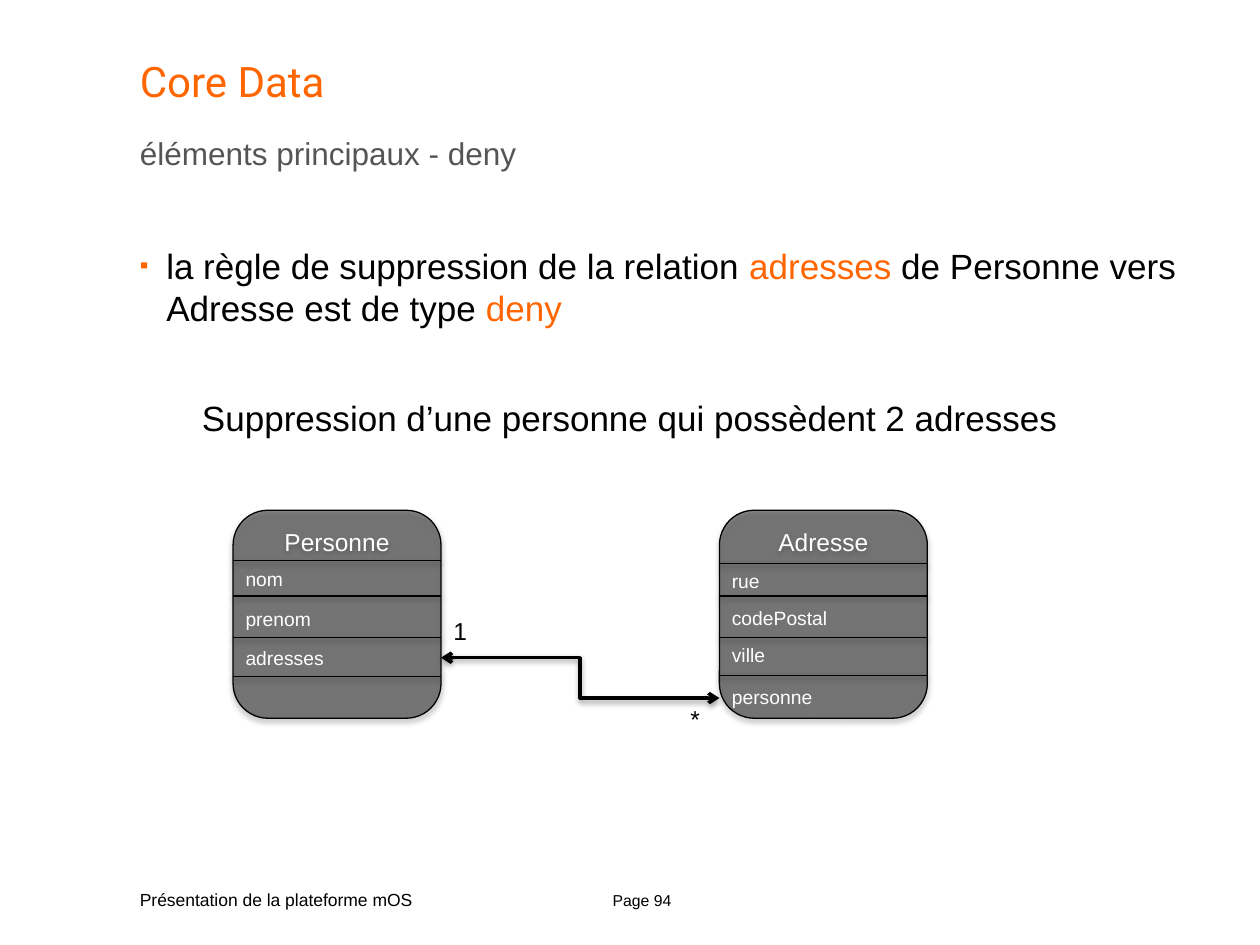
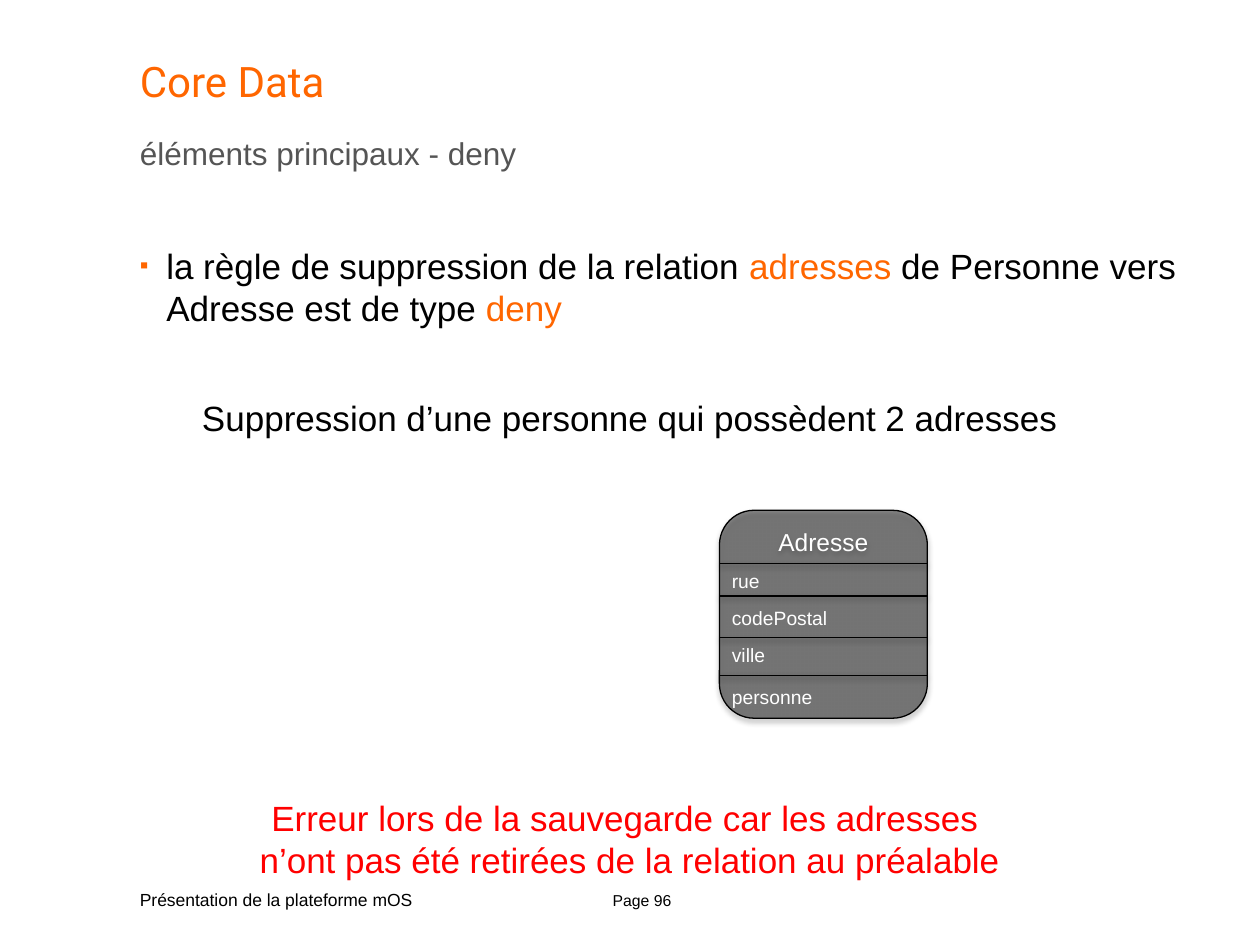
"""Build two slides on the deny deletion rule in Core Data."""
from dataclasses import dataclass
from typing import Any, NamedTuple

from lxml import etree
from pptx import Presentation
from pptx import util as u
from pptx.dml import color
from pptx.enum import shapes, text
from pptx.oxml import ns

PX = 9144
TWO_CONTENT = 3


class Style(NamedTuple):
    """Size, colour and typeface of a run."""
    size: int
    rgb: str
    name: str = "Arial"


@dataclass(frozen=True)
class Theme:
    """Colours and text styles shared by the slides."""
    ink: str = "000000"
    accent: str = "FF6600"
    fill_alpha: int = 46
    title: Style = Style(24, "FF6600", "Roboto")
    subtitle: Style = Style(18, "555555")
    body: Style = Style(20, "000000")
    keyword: Style = Style(20, "FF6600")
    error: Style = Style(20, "FF0000")
    entity: Style = Style(14, "FFFFFF")
    field: Style = Style(11, "FFFFFF")
    label: Style = Style(14, "000000")
    footer: Style = Style(10, "000000")
    page: Style = Style(9, "000000")


class Box(NamedTuple):
    """Left, top, width and height in px."""
    left: int
    top: int
    width: int
    height: int


class Field(NamedTuple):
    """A named row of an entity with the top of its text."""
    name: str
    top: int


@dataclass(frozen=True)
class Entity:
    """A data model entity with its fields and dividing lines."""
    name: str
    left: int
    fields: tuple[Field, ...]
    rules: tuple[int, ...]


class Page(NamedTuple):
    """What differs from one slide to the next."""
    number: int
    entities: tuple[Entity, ...]
    related: bool
    error: tuple[str, ...]


Run = tuple[str, Style]
T = Theme()
SIDE = 165
ENTITY_TOP = 405
FLUSH = dict(margin_left=0, margin_right=0, margin_top=0, margin_bottom=0)
PERSONNE = Entity("Personne", 185,
                  (Field("nom", 445), Field("prenom", 477), Field("adresses", 508)),
                  (445, 473, 506, 537))
ADRESSE = Entity("Adresse", 571,
                 (Field("rue", 447), Field("codePostal", 476),
                  Field("ville", 506), Field("personne", 539)),
                 (447, 473, 506, 536))
RULE: list[Run] = [("la règle de suppression de la relation ", T.body),
                   ("adresses ", T.keyword),
                   ("de Personne vers Adresse est de type ", T.body),
                   ("deny", T.keyword)]
PAGES = (
    Page(94, (PERSONNE, ADRESSE), True, ()),
    Page(96, (ADRESSE,), False,
         ("Erreur lors de la sauvegarde car les adresses ",
          "n’ont pas été retirées de la relation au préalable")),
)


def apply(obj: Any, **values: Any) -> None:
    """Set each given attribute on an object."""
    for key, value in values.items():
        setattr(obj, key, value)


def emu(box: Box) -> list[int]:
    """Turn a box into EMU."""
    return [n * PX for n in box]


def rgb(value: str) -> color.RGBColor:
    """Read a hexadecimal colour."""
    return color.RGBColor.from_string(value)


def node(parent: Any, tag: str, **attrs: Any) -> Any:
    """Append a drawing element to a parent."""
    return etree.SubElement(parent, ns.qn(f"a:{tag}"),
                            {k: str(v) for k, v in attrs.items()})


def write(p: Any, runs: list[Run], align: Any = text.PP_ALIGN.LEFT) -> None:
    """Fill a paragraph with styled runs."""
    apply(p, alignment=align, space_before=u.Pt(0))
    for words, style in runs:
        r = p.add_run()
        r.text = words
        apply(r.font, size=u.Pt(style.size), name=style.name)
        r.font.color.rgb = rgb(style.rgb)


def add_text(parent: Any, box: Box, lines: list[str], style: Style,
             align: Any = text.PP_ALIGN.LEFT, **frame: Any) -> None:
    """Add a text box with one paragraph a line."""
    tf = parent.add_textbox(*emu(box)).text_frame
    apply(tf, **{"word_wrap": True, **frame})
    for i, line in enumerate(lines):
        write(tf.add_paragraph() if i else tf.paragraphs[0], [(line, style)], align)


def fill_placeholder(sp: Any, box: Box, runs: list[Run]) -> Any:
    """Move a placeholder, write its text and return the paragraph."""
    apply(sp, **dict(zip(("left", "top", "width", "height"), emu(box))))
    tf = sp.text_frame
    apply(tf, word_wrap=True, auto_size=text.MSO_AUTO_SIZE.NONE,
          vertical_anchor=text.MSO_ANCHOR.TOP, **FLUSH)
    write(tf.paragraphs[0], runs)
    return tf.paragraphs[0]


def set_bullet(p: Any, char: str = "") -> None:
    """Give a paragraph a hanging indent and a bullet or none."""
    pr = p._p.get_or_add_pPr()
    pr.set("marL", str(21 * PX))
    pr.set("indent", str(-21 * PX))
    if not char:
        node(pr, "buNone")
        return
    node(node(pr, "buClr"), "srgbClr", val=T.accent)
    node(pr, "buSzPct", val=70000)
    node(pr, "buFont", typeface="Arial")
    node(pr, "buChar", char=char)


def add_shadow(sp: Any, dist: int, alpha: int) -> None:
    """Cast a soft shadow below a shape or line."""
    effects = node(sp._element.spPr, "effectLst")
    outer = node(effects, "outerShdw", blurRad=40000, dist=dist,
                 dir=5400000, rotWithShape=0)
    node(node(outer, "srgbClr", val=T.ink), "alpha", val=alpha * 1000)


def set_line(sp: Any, width: float) -> None:
    """Draw an outline in the ink colour."""
    sp.line.color.rgb = rgb(T.ink)
    sp.line.width = u.Pt(width)


def add_line(parent: Any, kind: Any, ends: tuple[int, ...], width: float) -> Any:
    """Add a shadowed connector between two points."""
    sp = parent.add_connector(kind, *(n * PX for n in ends))
    set_line(sp, width)
    add_shadow(sp, 20000, 38)
    return sp


def add_entity(s: Any, entity: Entity) -> None:
    """Draw an entity as one group."""
    group = s.shapes.add_group_shape().shapes
    sp = group.add_shape(shapes.MSO_SHAPE.ROUNDED_RECTANGLE,
                         *emu(Box(entity.left, ENTITY_TOP, SIDE, SIDE)))
    sp.fill.solid()
    sp.fill.fore_color.rgb = rgb(T.ink)
    node(sp._element.spPr.find(".//" + ns.qn("a:srgbClr")), "alpha",
         val=T.fill_alpha * 1000)
    set_line(sp, 0.75)
    add_shadow(sp, 23000, 35)
    sp.text_frame.vertical_anchor = text.MSO_ANCHOR.TOP
    write(sp.text_frame.paragraphs[0], [(entity.name, T.entity)], text.PP_ALIGN.CENTER)
    for y in entity.rules:
        add_line(group, shapes.MSO_CONNECTOR.STRAIGHT,
                 (entity.left, y, entity.left + SIDE, y), 0.75)
    for field in entity.fields:
        add_text(group, Box(entity.left, field.top, SIDE, 29), [field.name], T.field)


def add_relation(s: Any) -> None:
    """Link the two entities with a one-to-many arrow."""
    group = s.shapes.add_group_shape().shapes
    sp = add_line(group, shapes.MSO_CONNECTOR.ELBOW,
                  (PERSONNE.left + SIDE, 522, ADRESSE.left, 554), 2)
    ln = sp.line._get_or_add_ln()
    for end in ("headEnd", "tailEnd"):
        node(ln, end, type="arrow")
    for count, box in (("1", Box(350, 484, 31, 34)), ("*", Box(538, 554, 28, 34))):
        add_text(group, box, [count], T.label, word_wrap=False)


def add_page(prs: Any, page: Page) -> None:
    """Add one slide."""
    s = prs.slides.add_slide(prs.slide_layouts[TWO_CONTENT])
    title, subtitle, body = s.placeholders
    fill_placeholder(title, Box(111, 44, 854, 54), [("Core Data", T.title)])
    set_bullet(fill_placeholder(subtitle, Box(111, 106, 854, 33),
                                [("éléments principaux - deny", T.subtitle)]))
    set_bullet(fill_placeholder(body, Box(111, 194, 878, 87), RULE), "▪")
    for entity in page.entities:
        add_entity(s, entity)
    if page.related:
        add_relation(s)
    center = text.PP_ALIGN.CENTER
    add_text(s.shapes, Box(0, 310, 1000, 44),
             ["Suppression d’une personne qui possèdent 2 adresses"], T.body, center)
    if page.error:
        add_text(s.shapes, Box(0, 627, 1000, 77), list(page.error), T.error, center)
    add_text(s.shapes, Box(111, 701, 272, 24), ["Présentation de la plateforme mOS"],
             T.footer, margin_left=0, margin_right=0)
    add_text(s.shapes, Box(469, 702, 81, 24), [f"Page {page.number}"], T.page, center)


def main() -> None:
    """Build and save the presentation."""
    prs = Presentation()
    apply(prs, slide_width=1000 * PX, slide_height=750 * PX)
    for page in PAGES:
        add_page(prs, page)
    prs.save("out.pptx")


if __name__ == "__main__":
    main()
